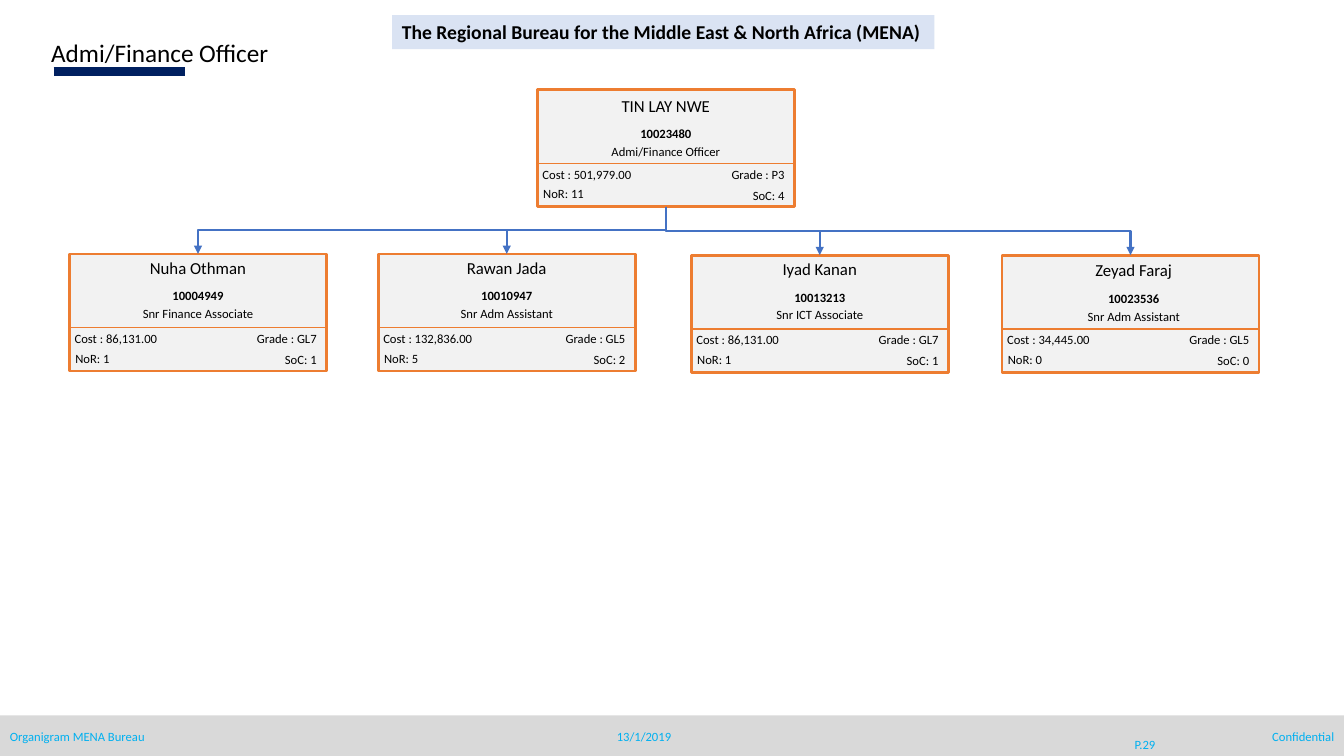
from lxml import etree
from pptx import Presentation
from pptx import util as u
from pptx.dml import color
from pptx.enum import shapes, text
from pptx.oxml import ns

COLORS = {
    "black": "000000", "navy": "002060", "band": "DAE3F3", "footer": "D9D9D9",
    "cyan": "00B0F0", "card": "F2F2F2", "orange": "ED7D31", "blue": "4472C4",
}
LEFT, CENTER, RIGHT = text.PP_ALIGN.LEFT, text.PP_ALIGN.CENTER, text.PP_ALIGN.RIGHT
CARD_W, CARD_H = 6.48, 2.95

prs = Presentation()
prs.slide_width, prs.slide_height = u.Cm(33.87), u.Cm(19.05)
s = prs.slides.add_slide(prs.slide_layouts[6])


def write(sp, words, size=9, align=LEFT, ink="black", bold=False, wrap=True,
          anchor=text.MSO_ANCHOR.TOP):
    tf = sp.text_frame
    for key, value in {"word_wrap": wrap, "vertical_anchor": anchor}.items():
        setattr(tf, key, value)
    p = tf.paragraphs[0]
    p.alignment = align
    r = p.add_run()
    r.text = words
    for key, value in {"name": "Calibri", "size": u.Pt(size), "bold": bold}.items():
        setattr(r.font, key, value)
    r.font.color.rgb = color.RGBColor.from_string(COLORS[ink])


def connect(kind, x1, y1, x2, y2, ink, width):
    c = s.shapes.add_connector(kind, u.Cm(x1), u.Cm(y1), u.Cm(x2), u.Cm(y2))
    c.line.color.rgb = color.RGBColor.from_string(COLORS[ink])
    c.line.width = u.Pt(width)
    etree.SubElement(c._element.spPr, ns.qn("a:effectLst"))
    return c


connect(shapes.MSO_CONNECTOR.STRAIGHT, 1.35, 1.8, 4.67, 1.8, "navy", 7)

people = [
    (13.54, 2.26, 0, 0.05, "TIN LAY NWE", "10023480", "Admi/Finance Officer", "501,979.00", "P3", 11, 4),
    (1.75, 6.4, 0, 0, "Nuha Othman", "10004949", "Snr Finance Associate", "86,131.00", "GL7", 1, 1),
    (9.53, 6.4, 0, 0, "Rawan Jada", "10010947", "Snr Adm Assistant", "132,836.00", "GL5", 5, 2),
    (17.42, 6.43, 0, 0, "Iyad Kanan", "10013213", "Snr ICT Associate", "86,131.00", "GL7", 1, 1),
    (25.25, 6.43, 0.08, 0.03, "Zeyad Faraj", "10023536", "Snr Adm Assistant", "34,445.00", "GL5", 0, 0),
]
panels = [
    (0, 18.03, 33.87, 1.02, "footer", None),
    (9.88, 0.38, 13.67, 0.86, "band", None),
] + [(x, y, CARD_W, CARD_H, "card", "orange") for x, y, *_ in people]

rects = []
for x, y, w, h, fill, border in panels:
    sp = s.shapes.add_shape(shapes.MSO_SHAPE.RECTANGLE, u.Cm(x), u.Cm(y), u.Cm(w), u.Cm(h))
    sp.shadow.inherit = False
    sp.fill.solid()
    sp.fill.fore_color.rgb = color.RGBColor.from_string(COLORS[fill])
    if border:
        sp.line.color.rgb = color.RGBColor.from_string(COLORS[border])
        sp.line.width = u.Pt(2)
    else:
        sp.line.fill.background()
    rects.append(sp)

write(rects[1], "The Regional Bureau for the Middle East & North Africa (MENA)", 14, bold=True, wrap=False)
boss, *reports = rects[2:]

middle = text.MSO_ANCHOR.MIDDLE
labels = [
    (1.04, 0.81, 13.46, 1.04, "Admi/Finance Officer", {"size": 18}),
    (0, 18.24, 7.82, 0.64, "Organigram MENA Bureau", {"ink": "cyan"}),
    (15.11, 18.24, 2.24, 0.64, "13/1/2019", {"ink": "cyan", "align": CENTER, "anchor": middle}),
    (27.84, 18.24, 2.03, 1.02, "P.29", {"ink": "cyan", "align": CENTER, "anchor": middle}),
    (26.05, 18.24, 7.82, 0.64, "Confidential", {"ink": "cyan", "align": RIGHT}),
]
for x, y, dx, dy, name, number, post, cost, grade, nor, soc in people:
    connect(shapes.MSO_CONNECTOR.STRAIGHT, x, y + 1.86, x + CARD_W, y + 1.86, "orange", 1)
    labels += [
        (x + dx, y + dy - 0.03, CARD_W, 0.78, name, {"size": 12, "align": CENTER}),
        (x + dx, y + dy + 0.74, CARD_W, 0.64, number, {"bold": True, "align": CENTER}),
        (x + dx, y + dy + 1.19, CARD_W, 0.64, post, {"align": CENTER}),
        (x - 0.12, y + 1.82, 3.12, 0.64, f"Cost : {cost}", {}),
        (x + 3.38, y + 1.82, 3.1, 0.64, f"Grade : {grade}", {"align": RIGHT}),
        (x - 0.1, y + 2.31, 2, 0.64, f"NoR: {nor}", {}),
        (x + 3.88, y + 2.34, 2.6, 0.64, f"SoC: {soc}", {"align": RIGHT}),
    ]
for x, y, w, h, words, style in labels:
    write(s.shapes.add_textbox(u.Cm(x), u.Cm(y), u.Cm(w), u.Cm(h)), words, **style)

for report in reports:
    c = connect(shapes.MSO_CONNECTOR.ELBOW, 0, 0, 1, 1, "blue", 1.5)
    c.begin_connect(boss, 2)
    c.end_connect(report, 0)
    run, drop = c.end_x - c.begin_x, c.end_y - c.begin_y
    mid_x, mid_y = (c.begin_x + c.end_x) // 2, (c.begin_y + c.end_y) // 2
    c.width, c.height = drop, abs(run)
    c.left, c.top = mid_x - drop // 2, mid_y - abs(run) // 2
    xfrm = c._element.spPr.find(ns.qn("a:xfrm"))
    xfrm.set("rot", "16200000" if run > 0 else "5400000")
    xfrm.set("flipH", "1" if run > 0 else "0")
    xfrm.set("flipV", "0")
    etree.SubElement(c.line._get_or_add_ln(), ns.qn("a:tailEnd"), type="triangle")

prs.save("out.pptx")
